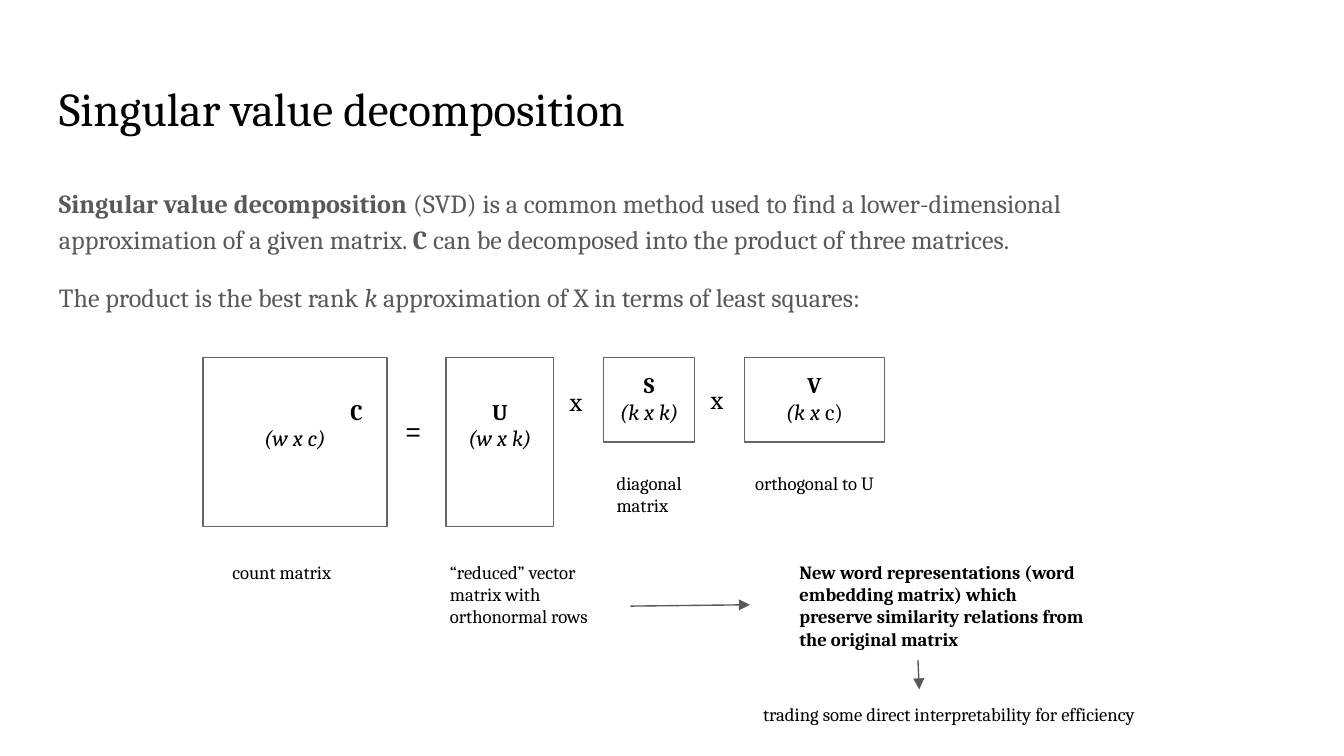
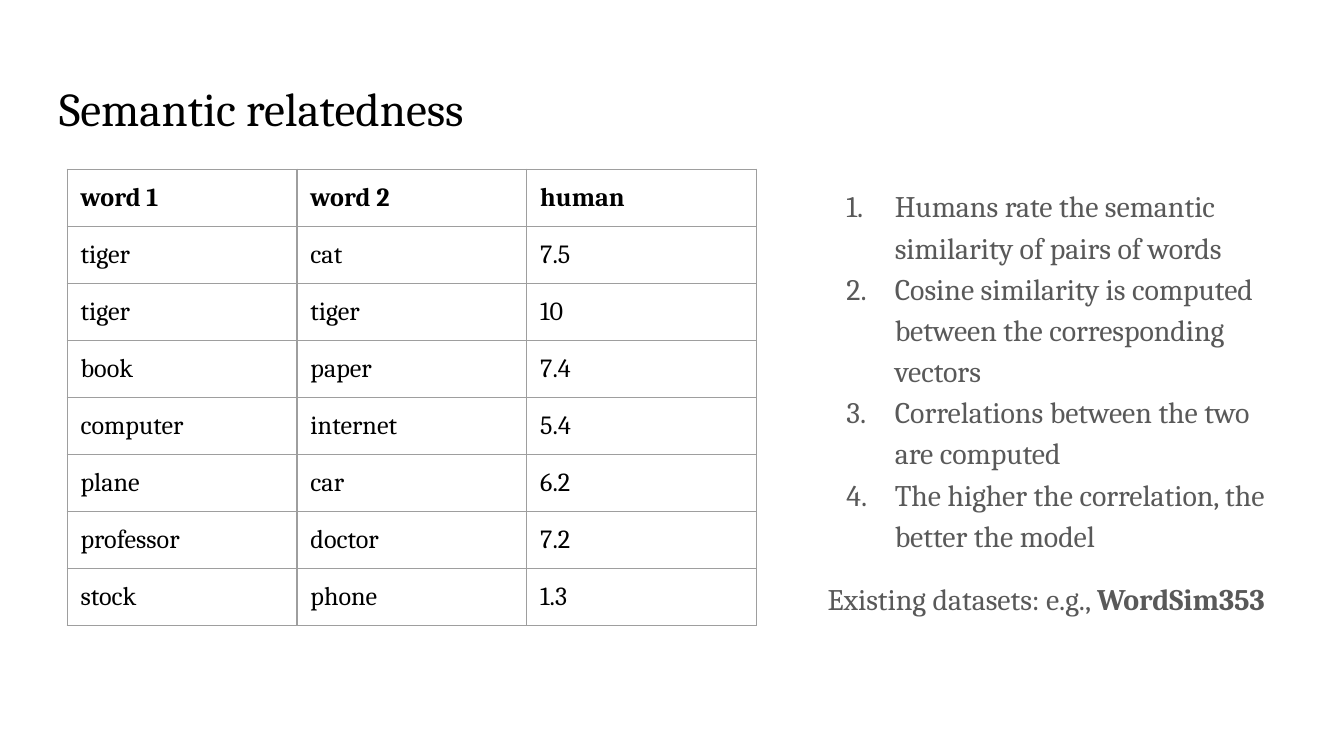
"""Build two slides on singular value decomposition and semantic relatedness."""
from lxml.etree import SubElement
from pptx import Presentation
from pptx.dml.color import RGBColor
from pptx.enum.shapes import MSO_CONNECTOR as Connector, MSO_SHAPE as Shape
from pptx.enum.text import MSO_ANCHOR as Anchor, MSO_AUTO_SIZE as AutoSize, PP_ALIGN as Align
from pptx.oxml.ns import qn
from pptx.util import Inches, Pt

WIDTH = 10
HEIGHT = WIDTH * 9 / 16
COLORS = {"ink": "000000", "body": "595959", "box": "666666", "grid": "9E9E9E", "paper": "FFFFFF"}
SERIF, SANS = "Cambria", "Arial"
INSET = 0.1
LEFT, BODY_TOP = 0.34, 1.26
MATRIX_TOP, TALL = 2.66, 1.26
SHORT = TALL / 2
UPPER_NOTE, LOWER_NOTE = 3.41, 4.07
TABLE_LEFT, COLUMN, ROW = 0.5, 1.71, 0.42

INTRO = [
    [("Singular value decomposition ", "b"),
     ("(SVD) is a common method used to find a lower-dimensional approximation of a given matrix. ", ""),
     ("C ", "b"), ("can be decomposed into the product of three matrices.", "")],
    [("The product is the best rank ", ""), ("k ", "i"),
     ("approximation of X in terms of least squares:", "")],
]
MATRICES = [
    ("C", [("(w x c)", "i")], 1.51, 1.37, TALL),
    ("U", [("(w x k)", "i")], 3.32, 0.8, TALL),
    ("S", [("(k x k)", "i")], 4.49, 0.68, SHORT),
    ("V", [("(k x ", "i"), ("c)", "")], 5.54, 1.04, SHORT),
]
OPERATORS = [("=", 2.92, 2.99, SANS), ("x", 4.14, 2.77, SERIF), ("x", 5.19, 2.75, SERIF)]
NOTES = [
    (["count matrix"], "", 1.63, LOWER_NOTE, 1.25, 0.37),
    (["“reduced” vector matrix with orthonormal rows"], "", 3.25, LOWER_NOTE, 1.43, 0.71),
    (["diagonal", "matrix"], "", 4.49, UPPER_NOTE, 0.8, 0.54),
    (["orthogonal to U"], "", 5.52, UPPER_NOTE, 1.25, 0.37),
    (["New word representations (word embedding matrix) which preserve similarity relations "
      "from the original matrix"], "b", 5.85, LOWER_NOTE, 2.34, 0.88),
    (["trading some direct interpretability for efficiency"], "", 5.58, 5.13, 3.7, 0.37),
]
ARROWS = [(4.69, 4.51, 5.58, 4.5), (6.83, 4.91, 6.84, 5.13)]

RATINGS = [
    ("word 1", "word 2", "human"),
    ("tiger", "cat", "7.5"),
    ("tiger", "tiger", "10"),
    ("book", "paper", "7.4"),
    ("computer", "internet", "5.4"),
    ("plane", "car", "6.2"),
    ("professor", "doctor", "7.2"),
    ("stock", "phone", "1.3"),
]
STEPS = [
    "Humans rate the semantic similarity of pairs of words",
    "Cosine similarity is computed between the corresponding vectors",
    "Correlations between the two are computed",
    "The higher the correlation, the better the model",
]
DATASETS = [("Existing datasets: e.g., ", ""), ("WordSim353", "b")]


def rgb(name):
    return RGBColor.from_string(COLORS[name])


def write(frame, paragraphs, size=10, color="ink", font=SERIF, align=Align.LEFT, spacing=None, top=INSET):
    """Fill a text frame with paragraphs, each a list of (text, style) runs."""
    frame.word_wrap = True
    frame.auto_size = AutoSize.NONE
    frame.vertical_anchor = Anchor.TOP
    frame.margin_left = frame.margin_right = frame.margin_bottom = Inches(INSET)
    frame.margin_top = Inches(top)
    for index, runs in enumerate(paragraphs):
        para = frame.add_paragraph() if index else frame.paragraphs[0]
        para.alignment = align
        if spacing:
            para.line_spacing = spacing
        for text, style in runs:
            span = para.add_run()
            span.text = text
            span.font.name, span.font.size = font, Pt(size)
            span.font.color.rgb = rgb(color)
            span.font.bold, span.font.italic = "b" in style, "i" in style
    return frame.paragraphs


def add_text(page, paragraphs, left, top, width, height, **style):
    box = page.shapes.add_textbox(*map(Inches, (left, top, width, height)))
    return write(box.text_frame, paragraphs, **style)


def add_page(deck, title):
    page = deck.slides.add_slide(deck.slide_layouts[5])
    page.background.fill.solid()
    page.background.fill.fore_color.rgb = rgb("paper")
    head = page.shapes.title
    head.left, head.top = Inches(LEFT), Inches(0.49)
    head.width, head.height = Inches(WIDTH - 2 * LEFT), Inches(0.63)
    write(head.text_frame, [[(title, "")]], size=25.2)
    return page


def add_matrix(page, name, dimensions, left, width, height):
    box = page.shapes.add_shape(Shape.RECTANGLE, *map(Inches, (left, MATRIX_TOP, width, height)))
    box.shadow.inherit = False
    box.fill.background()
    box.line.color.rgb = rgb("box")
    box.line.width = Pt(0.75)
    top = INSET + (0.2 if height == TALL else 0)
    return write(box.text_frame, [[(name, "b")], dimensions], size=12, align=Align.CENTER, top=top)


def indent(para, left, first=0):
    props = para._p.get_or_add_pPr()
    props.set("marL", str(Inches(left)))
    props.set("indent", str(Inches(first)))
    return props


def add_arrow(page, *ends):
    arrow = page.shapes.add_connector(Connector.STRAIGHT, *map(Inches, ends))
    arrow.line.color.rgb = rgb("body")
    arrow.line.width = Pt(0.75)
    SubElement(arrow.line._get_or_add_ln(), qn("a:tailEnd"), type="triangle")
    SubElement(arrow._element.spPr, qn("a:effectLst"))


def number(para):
    props = indent(para, 0.5, -0.36)
    tint = SubElement(props, qn("a:buClr"))
    SubElement(tint, qn("a:srgbClr"), val=COLORS["body"])
    SubElement(props, qn("a:buFont"), typeface=SERIF)
    SubElement(props, qn("a:buAutoNum"), type="arabicPeriod")


def outline(cell):
    props = cell._tc.get_or_add_tcPr()
    for position, side in enumerate(("lnL", "lnR", "lnT", "lnB")):
        line = SubElement(props, qn(f"a:{side}"), w=str(Pt(0.75)))
        fill = SubElement(line, qn("a:solidFill"))
        SubElement(fill, qn("a:srgbClr"), val=COLORS["grid"])
        props.insert(position, line)


def add_ratings(page):
    rows, columns = len(RATINGS), len(RATINGS[0])
    area = (TABLE_LEFT, BODY_TOP, columns * COLUMN, rows * ROW)
    table = page.shapes.add_table(rows, columns, *map(Inches, area)).table
    table.first_row = table.horz_banding = False
    for r, words in enumerate(RATINGS):
        for c, word in enumerate(words):
            cell = table.cell(r, c)
            cell.fill.background()
            cell.margin_left = cell.margin_right = Inches(INSET)
            cell.margin_top = cell.margin_bottom = Inches(INSET)
            write(cell.text_frame, [[(word, "" if r else "b")]], size=14)
            outline(cell)


def build_decomposition(deck):
    page = add_page(deck, "Singular value decomposition")
    paras = add_text(page, INTRO, LEFT, BODY_TOP, 8.75, 1.05, size=14, color="body", spacing=1.15)
    paras[1].space_before = Pt(12)
    for matrix in MATRICES:
        lines = add_matrix(page, *matrix)
        if matrix[0] == "C":
            lines[0].alignment = Align.LEFT
            indent(lines[0], 1)
    for sign, left, top, font in OPERATORS:
        add_text(page, [[(sign, "")]], left, top, 0.33, 0.44, size=14, font=font)
    for lines, style, *area in NOTES:
        add_text(page, [[(line, style)] for line in lines], *area)
    for ends in ARROWS:
        add_arrow(page, *ends)


def build_relatedness(deck):
    page = add_page(deck, "Semantic relatedness")
    paragraphs = [[(step, "")] for step in STEPS] + [DATASETS]
    paras = add_text(page, paragraphs, 6.06, BODY_TOP, 3.6, 3.74, size=16, color="body", spacing=1.15)
    for para in paras[:-1]:
        number(para)
    paras[-1].space_before = paras[-1].space_after = Pt(12)
    add_ratings(page)


def main():
    deck = Presentation()
    deck.slide_width, deck.slide_height = Inches(WIDTH), Inches(HEIGHT)
    build_decomposition(deck)
    build_relatedness(deck)
    deck.save("out.pptx")


if __name__ == "__main__":
    main()
